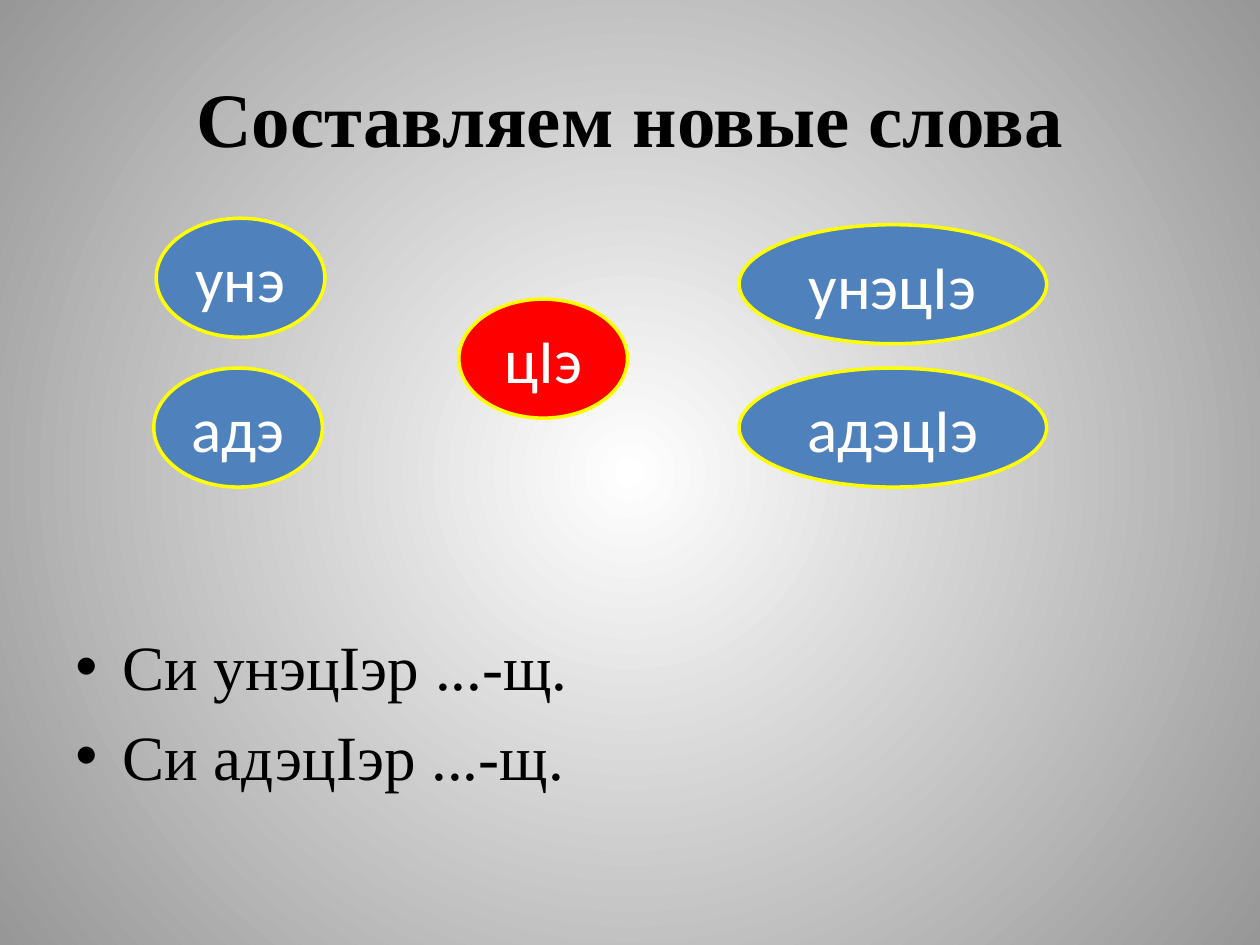
import pptx
import pptx.util
import pptx.dml.color
import pptx.enum.shapes
import pptx.enum.text
import pptx.oxml
import pptx.oxml.ns
from lxml import etree

Cm, Pt = pptx.util.Cm, pptx.util.Pt
RGB = pptx.dml.color.RGBColor
ALIGN = pptx.enum.text.PP_ALIGN
MIDDLE = pptx.enum.text.MSO_ANCHOR.MIDDLE
qn = pptx.oxml.ns.qn

BLACK = RGB(0x00, 0x00, 0x00)
WHITE = RGB(0xFF, 0xFF, 0xFF)
GRAY = RGB(0x97, 0x97, 0x97)
BLUE = RGB(0x4F, 0x81, 0xBD)
RED = RGB(0xFF, 0x00, 0x00)
YELLOW = RGB(0xFF, 0xFF, 0x00)


class Deck:
    serif = "Times New Roman"
    sans = "Calibri"

    def __init__(self):
        self.prs = pptx.Presentation()
        self.prs.slide_width, self.prs.slide_height = Cm(25.4), Cm(19.05)
        self.slide = self.prs.slides.add_slide(self.prs.slide_layouts[6])

    def glow(self, inner, outer):
        """Fill the background with a radial gradient from the centre."""
        fill = self.slide.background.fill
        fill.gradient()
        for stop, color in zip(fill.gradient_stops, (inner, outer)):
            stop.color.rgb = color
        grad = next(self.slide.element.iter(qn("a:gradFill")))
        grad.remove(grad.find(qn("a:lin")))
        way = etree.SubElement(grad, qn("a:path"), path="circle")
        mid = dict.fromkeys("ltrb", "50000")
        etree.SubElement(way, qn("a:fillToRect"), **mid)

    def run(self, para, text, size, font, color, bold=False):
        run = para.add_run()
        run.text = text
        run.font.size, run.font.name = Pt(size), font
        run.font.color.rgb, run.font.bold = color, bold

    def box(self, x, y, w, h):
        box = self.slide.shapes.add_textbox(Cm(x), Cm(y), Cm(w), Cm(h))
        box.text_frame.word_wrap = True
        return box.text_frame

    def title(self, text, *area):
        frame = self.box(*area)
        frame.vertical_anchor = MIDDLE
        para = frame.paragraphs[0]
        para.alignment = ALIGN.CENTER
        self.run(para, text, 44, self.serif, BLACK, True)

    def bullets(self, lines, *area):
        frame = self.box(*area)
        for i, line in enumerate(lines):
            para = frame.add_paragraph() if i else frame.paragraphs[0]
            if i:
                para.space_before = Pt(8)
            props = para._p.get_or_add_pPr()
            props.set("marL", str(Cm(0.95)))
            props.set("indent", str(-Cm(0.95)))
            etree.SubElement(props, qn("a:buFont"), typeface="Arial")
            etree.SubElement(props, qn("a:buChar"), char="•")
            self.run(para, line, 36, self.serif, BLACK)

    def oval(self, text, x, y, w, fill):
        kind = pptx.enum.shapes.MSO_SHAPE.OVAL
        oval = self.slide.shapes.add_shape(kind, Cm(x), Cm(y), Cm(w), Cm(2.4))
        oval.shadow.inherit = False
        oval.fill.solid()
        oval.fill.fore_color.rgb = fill
        oval.line.color.rgb, oval.line.width = YELLOW, Pt(2)
        oval.text_frame.vertical_anchor = MIDDLE
        para = oval.text_frame.paragraphs[0]
        para.alignment = ALIGN.CENTER
        self.run(para, text, 36, self.sans, WHITE)


def main():
    deck = Deck()
    deck.glow(WHITE, GRAY)
    deck.title("Составляем новые слова", 1.27, 0.76, 22.86, 3.18)
    deck.bullets(["Си унэцIэр ...-щ.", "Си адэцIэр ...-щ."],
                 1.27, 12.53, 22.86, 4.49)

    small, wide = 3.4, 6.2
    for text, x, y, width, fill in (
        ("унэ", 3.15, 4.4, small, BLUE),
        ("адэ", 3.1, 7.42, small, BLUE),
        ("цIэ", 9.25, 6.03, small, RED),
        ("унэцIэ", 14.9, 4.53, wide, BLUE),
        ("адэцIэ", 14.9, 7.42, wide, BLUE),
    ):
        deck.oval(text, x, y, width, fill)
    deck.prs.save("out.pptx")


if __name__ == "__main__":
    main()
